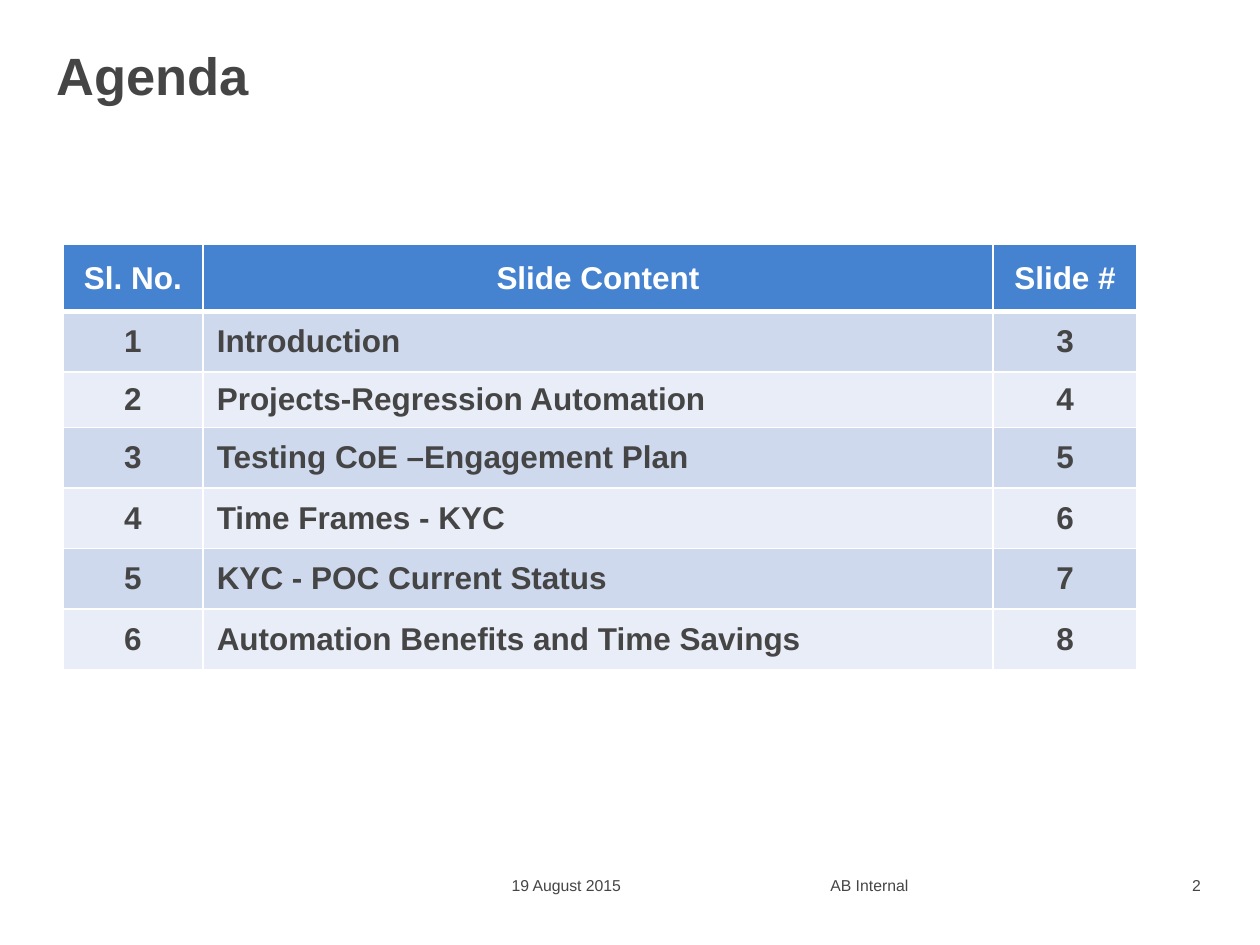
from lxml import etree
from pptx import Presentation
from pptx import util as u
from pptx.dml.color import RGBColor
from pptx.enum import text as t
from pptx.oxml import ns

INK = {"text": "454545", "head": "4583D1", "odd": "CFD9EE",
       "even": "E9EDF7", "white": "FFFFFF"}
LEFT, MID, RIGHT = t.PP_ALIGN.LEFT, t.PP_ALIGN.CENTER, t.PP_ALIGN.RIGHT
HEAD = ("Sl. No.", "Slide Content", "Slide #")
TOPICS = ("Introduction", "Projects-Regression Automation",
          "Testing CoE –Engagement Plan", "Time Frames - KYC",
          "KYC - POC Current Status", "Automation Benefits and Time Savings")
FIRST = 3  # slide number of the first topic
COLS = (2.82, 15.93, 2.9)
ROWS = (1.35, 1.22, 1.12, 1.22, 1.22, 1.22, 1.22)


def write(frame, words, size=18, color="text", bold=False, align=LEFT, space=None):
    para = frame.paragraphs[0]
    para.alignment = align
    para.line_spacing = space
    run = para.add_run()
    run.text = words
    font = run.font
    font.name, font.size, font.bold = "Arial", u.Pt(size), bold
    font.color.rgb = RGBColor.from_string(INK[color])


def clear(frame):
    """Drop the insets and anchor the text at the top."""
    frame.margin_left = frame.margin_right = 0
    frame.margin_top = frame.margin_bottom = 0
    frame.word_wrap = True
    frame.auto_size = t.MSO_AUTO_SIZE.NONE
    frame.vertical_anchor = t.MSO_ANCHOR.TOP


def title(slide, words):
    shape = slide.shapes.title
    shape.left, shape.top = u.Cm(1.14), u.Cm(1.02)
    shape.width, shape.height = u.Cm(23.09), u.Cm(3.05)
    clear(shape.text_frame)
    write(shape.text_frame, words, size=30, bold=True, space=0.9)


def note(slide, words, left, width, height, align=LEFT):
    box = slide.shapes.add_textbox(u.Cm(left), u.Cm(17.65), u.Cm(width), u.Cm(height))
    clear(box.text_frame)
    write(box.text_frame, words, size=9, align=align)


def edge(cell, side, width):
    """Add a white border; sides must come before the cell's fill."""
    line = etree.SubElement(cell._tc.get_or_add_tcPr(), ns.qn("a:" + side),
                            w=str(u.Pt(width)))
    fill = etree.SubElement(line, ns.qn("a:solidFill"))
    etree.SubElement(fill, ns.qn("a:srgbClr"), val=INK["white"])


def agenda(slide):
    data = [HEAD] + [(str(i + 1), topic, str(i + FIRST))
                     for i, topic in enumerate(TOPICS)]
    grid = slide.shapes.add_table(len(ROWS), len(COLS), u.Cm(1.27), u.Cm(4.93),
                                  u.Cm(sum(COLS)), u.Cm(sum(ROWS))).table
    for col, width in zip(grid.columns, COLS):
        col.width = u.Cm(width)
    for row, height in zip(grid.rows, ROWS):
        row.height = u.Cm(height)

    for r, line in enumerate(data):
        shade = "head" if r == 0 else "odd" if r % 2 else "even"
        for c, words in enumerate(line):
            cell = grid.cell(r, c)
            cell.margin_left = cell.margin_right = u.Cm(0.28)
            cell.margin_top = cell.margin_bottom = u.Cm(0.15)
            cell.vertical_anchor = t.MSO_ANCHOR.MIDDLE
            for side in ("lnL", "lnR", "lnT", "lnB"):
                thick = (r, side) in ((0, "lnB"), (1, "lnT"))
                edge(cell, side, 3 if thick else 1)
            cell.fill.solid()
            cell.fill.fore_color.rgb = RGBColor.from_string(INK[shade])
            write(cell.text_frame, words, bold=True,
                  color="text" if r else "white",
                  align=LEFT if r and c == 1 else MID)


def main():
    deck = Presentation()
    deck.slide_width, deck.slide_height = u.Cm(25.4), u.Cm(19.05)
    slide = deck.slides.add_slide(deck.slide_layouts[5])
    title(slide, "Agenda")
    # Footer
    note(slide, "19 August 2015", 4.72, 7.8, 0.51, RIGHT)
    note(slide, "AB Internal", 16.74, 4.27, 0.89)
    note(slide, "2", 23.6, 0.61, 1.17, RIGHT)
    # Table of topics
    agenda(slide)
    deck.save("out.pptx")


if __name__ == "__main__":
    main()
